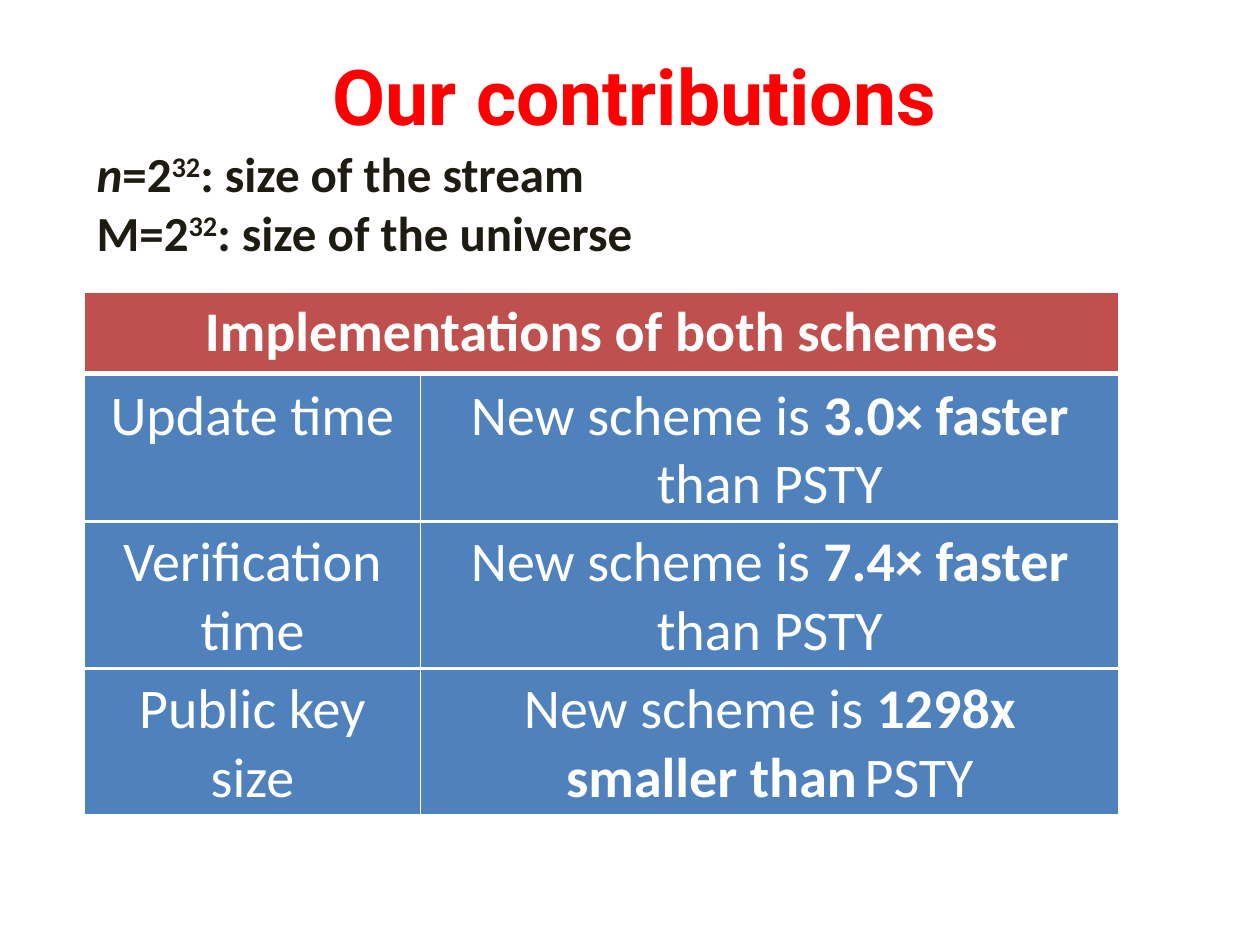
from lxml import etree
from pptx import Presentation
from pptx import util as u
from pptx.dml.color import RGBColor
from pptx.enum import text
from pptx.oxml import ns

WHITE, RED, BLUE = "FFFFFF", "C0504D", "4F81BD"
LEFT, WIDTH = 1.7, 20.86
COLUMNS = (6.78, 14.08)
ROW_TOP, ROW_HEIGHT = 7.57, 2.96
BORDERS = {"lnL": 1, "lnR": 1, "lnT": 1, "lnB": 3}
CELL_FONT = {"name": "Calibri", "size": u.Pt(32), "color": WHITE, "bold": False}
BOLD = {"bold": True}
SUPERSCRIPT = {"baseline": 30}

RESULTS = [
    ("Update time",
     [("New scheme is ", {}), ("3.0× faster ", BOLD), ("than PSTY", {})]),
    ("Verification time",
     [("New scheme is ", {}), ("7.4× faster ", BOLD), ("than PSTY", {})]),
    ("Public key size",
     [("New scheme is ", {}), ("1298x smaller than", BOLD),
      (" ", {"bold": True, "size": u.Pt(18)}), ("PSTY", {})]),
]
SIZES = [
    [("n", {"italic": True}), ("=2", {}), ("32", SUPERSCRIPT),
     (": size of the stream", {})],
    [("M=2", {}), ("32", SUPERSCRIPT), (": size of the universe", {})],
]


def color(value):
    return RGBColor.from_string(value)


def add_spans(para, spans, base):
    """Add (text, changes) pairs, each formatted as base plus its changes."""
    for words, changes in spans:
        span = para.add_run()
        span.text = words
        for key, value in {**base, **changes}.items():
            if key == "color":
                span.font.color.rgb = color(value)
            elif key == "baseline":
                span._r.get_or_add_rPr().set("baseline", str(value * 1000))
            else:
                setattr(span.font, key, value)


def add_text(page, place, lines, base, wrap=True, align=None, anchor=None):
    box = page.shapes.add_textbox(*map(u.Cm, place))
    frame = box.text_frame
    frame.word_wrap = wrap
    frame.vertical_anchor = anchor
    for index, spans in enumerate(lines):
        para = frame.add_paragraph() if index else frame.paragraphs[0]
        para.alignment = align
        add_spans(para, spans, base)


def add_borders(cell):
    properties = cell._tc.get_or_add_tcPr()
    for side, points in BORDERS.items():
        line = etree.SubElement(properties, ns.qn(f"a:{side}"), w=str(u.Pt(points)))
        fill = etree.SubElement(line, ns.qn("a:solidFill"))
        etree.SubElement(fill, ns.qn("a:srgbClr"), val=WHITE)


def add_row_table(page, top, height, widths, cells, fill, base, bordered=True):
    """Add a one-row table; cells holds one list of spans per column."""
    frame = page.shapes.add_table(
        1, len(widths), *map(u.Cm, (LEFT, top, WIDTH, height)))
    table = frame.table
    table.first_row = table.horz_banding = False
    for index, (width, spans) in enumerate(zip(widths, cells)):
        table.columns[index].width = u.Cm(width)
        cell = table.cell(0, index)
        if bordered:
            add_borders(cell)
        cell.fill.solid()
        cell.fill.fore_color.rgb = color(fill)
        para = cell.text_frame.paragraphs[0]
        para.alignment = text.PP_ALIGN.CENTER
        add_spans(para, spans, base)


def main():
    deck = Presentation()
    deck.slide_width, deck.slide_height = u.Cm(25.4), u.Cm(19.05)
    page = deck.slides.add_slide(deck.slide_layouts[6])

    title_font = {"name": "Roboto", "size": u.Pt(44), "color": "FF0000", "bold": True}
    add_text(page, (0.2, 0.64, 25.2, 2.54), [[("Our contributions", {})]], title_font,
             align=text.PP_ALIGN.CENTER, anchor=text.MSO_ANCHOR.MIDDLE)

    size_font = {"name": "Calibri", "size": u.Pt(28), "color": "1E1C11", "bold": True}
    add_text(page, (LEFT, 2.77, 11.6, 2.64), SIZES, size_font, wrap=False)

    add_row_table(page, 5.89, 1.6, [WIDTH],
                  [[("Implementations of both schemes", {})]],
                  RED, {**CELL_FONT, **BOLD}, bordered=False)
    for index, (label, finding) in enumerate(RESULTS):
        add_row_table(page, ROW_TOP + index * ROW_HEIGHT, ROW_HEIGHT, COLUMNS,
                      [[(label, {})], finding], BLUE, CELL_FONT)

    deck.save("out.pptx")


if __name__ == "__main__":
    main()
